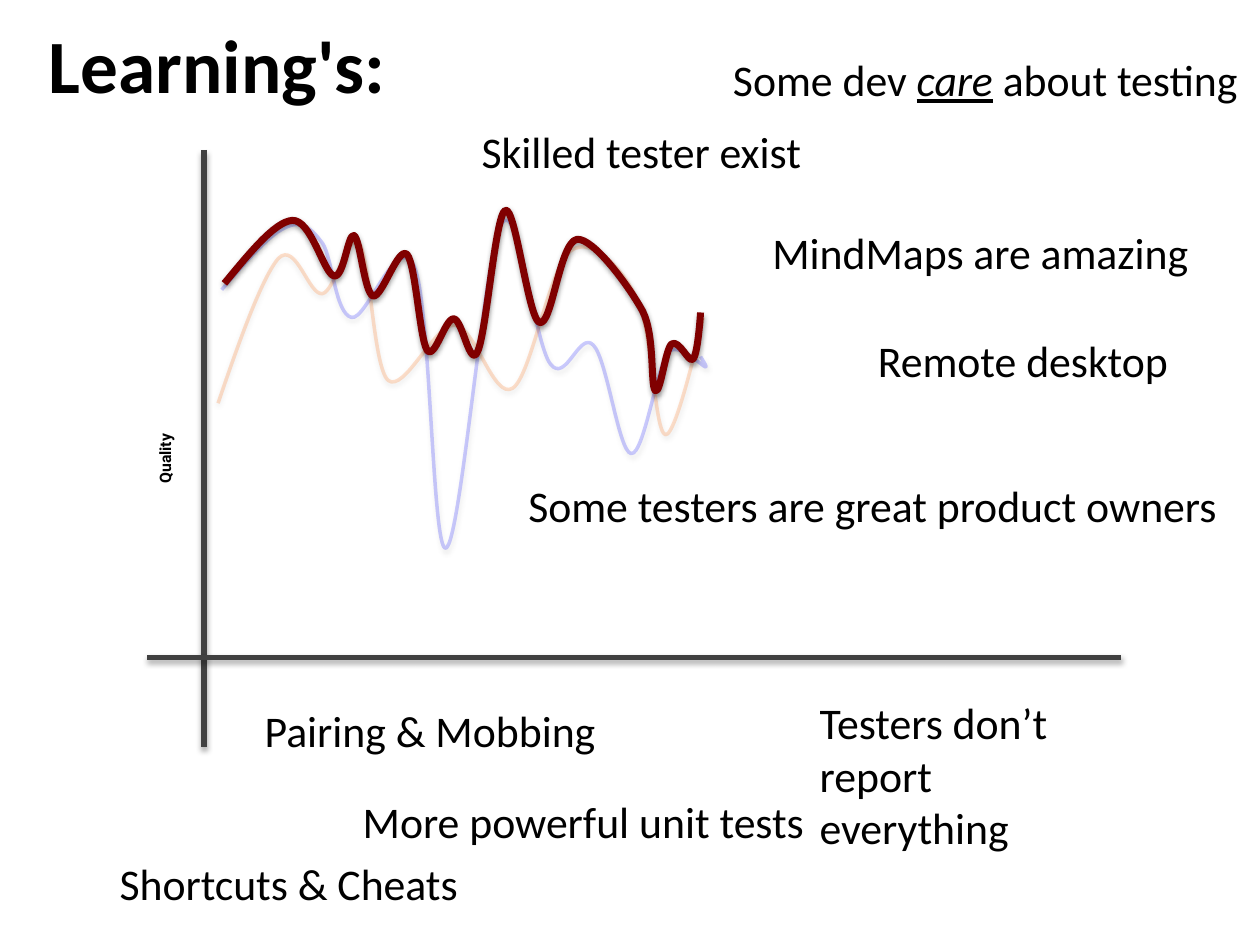
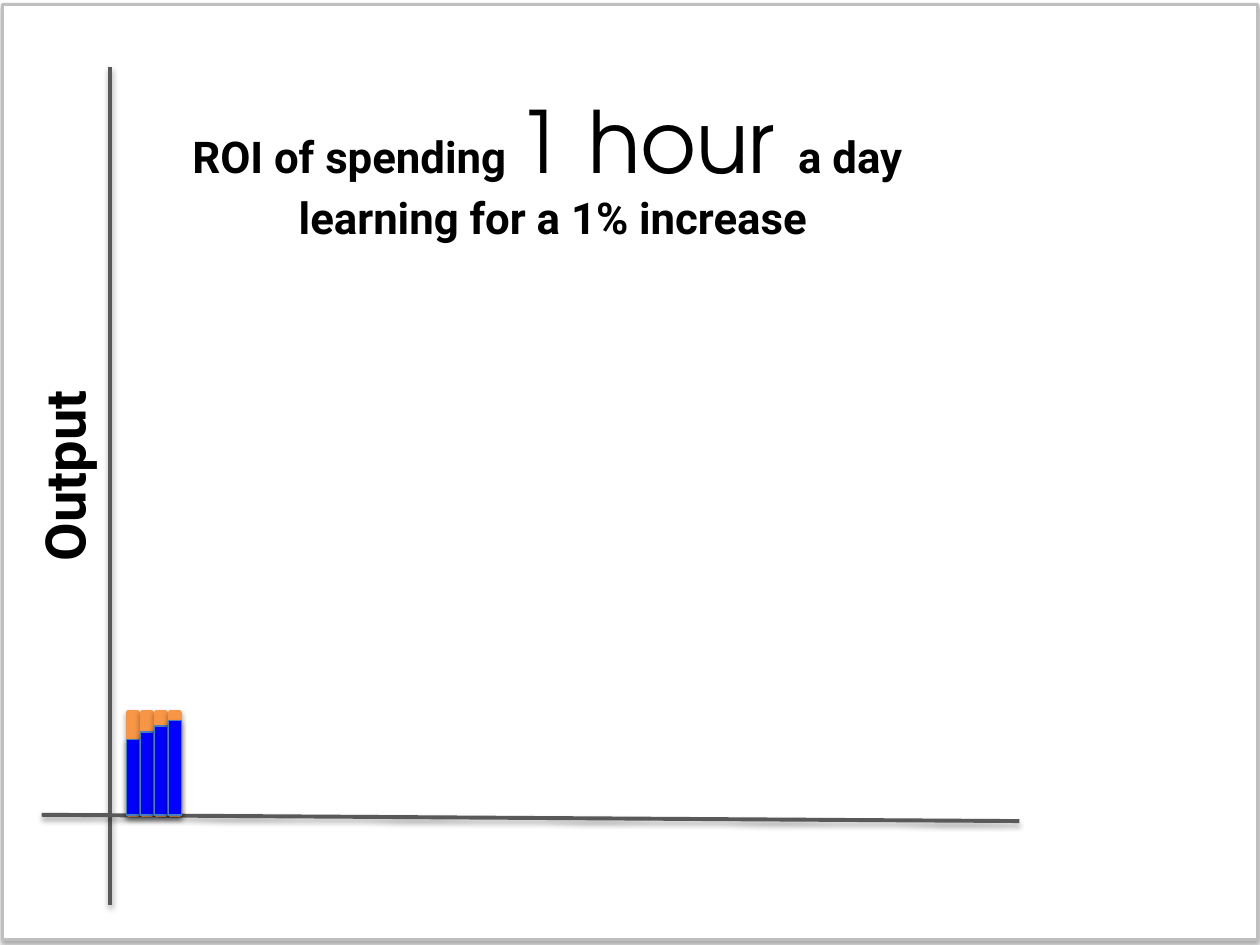
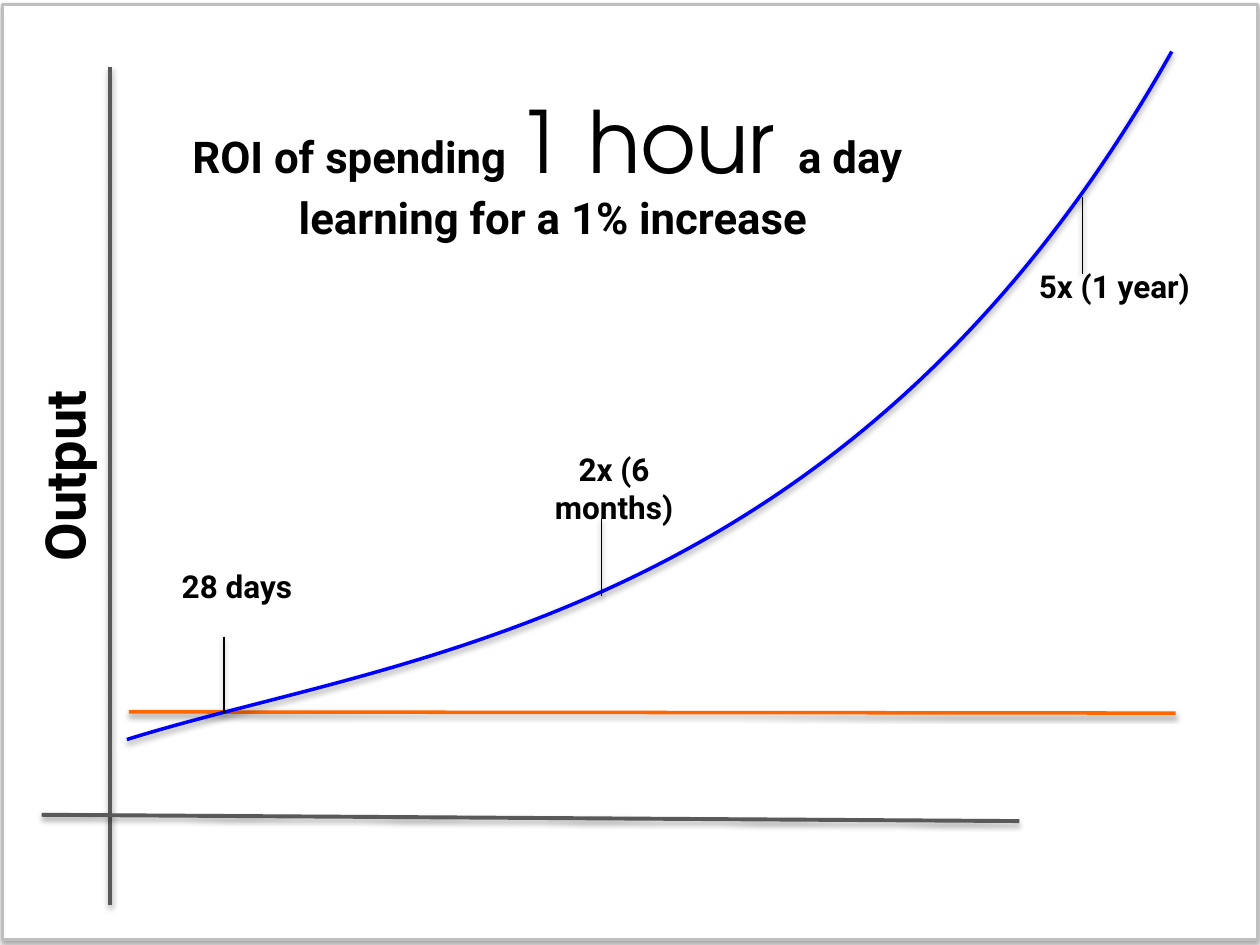
from lxml.etree import SubElement
from pptx import Presentation
from pptx.dml.color import RGBColor
from pptx.enum.shapes import MSO_CONNECTOR as Link, MSO_SHAPE as Preset
from pptx.enum.text import MSO_AUTO_SIZE as AutoSize, PP_ALIGN as Align
from pptx.oxml.ns import qn
from pptx.util import Pt

BLACK = RGBColor(0x00, 0x00, 0x00)
WHITE = RGBColor(0xFF, 0xFF, 0xFF)
DARK_GREY = RGBColor(0x40, 0x40, 0x40)
GREY = RGBColor(0x59, 0x59, 0x59)
FRAME_GREY = RGBColor(0xBF, 0xBF, 0xBF)
BLUE = RGBColor(0x00, 0x00, 0xFF)
STEEL = RGBColor(0x4B, 0x7E, 0xBC)
ORANGE = RGBColor(0xFF, 0x66, 0x00)
SOFT_ORANGE = RGBColor(0xF7, 0x96, 0x46)
MAROON = RGBColor(0x80, 0x00, 0x00)

BODY, HEAD, DISPLAY = "Calibri", "Roboto", "TeX Gyre Adventor"
TIGHT, ROOMY = (7.2, 3.6), (22.3, 10.8)  # left/right and top/bottom insets
# Shadows: opacity in percent, distance in points
SOFT, STRONG = (35, 1.8), (38, 1.6)
SHADOW_BLUR = 3.1

# Learnings: text, box, wrap
LEARNINGS = [
    ("Pairing & Mobbing", (144.2, 398.5, 205.9, 37.4), False),
    ("Remote desktop", (494.6, 187.2, 182.9, 37.4), False),
    ("More powerful unit tests", (200.2, 450.7, 270.7, 37.4), False),
    ("Some testers are great product owners", (294.8, 270, 415.4, 37.4), False),
    ("MindMaps are amazing", (434.2, 125.3, 255.6, 37.4), False),
    ("Skilled tester exist", (268.1, 67.7, 200.9, 37.4), False),
    ("Testers don’t report everything", (461.3, 394.1, 185.8, 97.9), True),
    ("Shortcuts & Cheats", (61.2, 486, 210.2, 37.4), False),
]

# Quality curves: a start point, then two handles and an end point per segment
BLUE_CURVE = [
    (126.7, 165.6),
    (139.7, 150.5), (153.4, 134.6), (162.7, 130.3),
    (172.1, 125.3), (177.8, 130.3), (184.3, 139),
    (190.1, 147.6), (191.5, 179.3), (200.9, 181.4),
    (209.5, 183.6), (227.5, 130.3), (236.9, 152.6),
    (246.2, 174.2), (247, 316.8), (254.9, 313.2),
    (263.5, 308.9), (276.5, 145.4), (286.6, 128.2),
    (295.9, 110.2), (305.3, 196.6), (314.6, 208.1),
    (323.3, 219.6), (331.2, 188.6), (339.1, 197.3),
    (347, 205.2), (353.5, 258.5), (360.7, 259.2),
    (367.9, 259.9), (375.1, 211), (381.6, 201.6),
    (388.8, 192.2), (411.8, 221.8), (400.3, 203.8),
]
ORANGE_CURVE = [
    (124.6, 230.4),
    (136.8, 194.4), (149.8, 158.4), (159.1, 147.6),
    (169.2, 137.5), (176.4, 169.2), (184.3, 167.8),
    (191.5, 166.3), (199.4, 131), (205.2, 139),
    (211.7, 146.9), (213.1, 209.5), (221.8, 217.4),
    (231.1, 224.6), (248.4, 185), (259.9, 185.8),
    (271.4, 186.5), (282.2, 229), (293, 221.8),
    (303.8, 214.6), (313.9, 151.9), (326.2, 143.3),
    (337.7, 134.6), (355, 152.6), (363.6, 169.9),
    (373, 187.9), (373.7, 246.2), (380.2, 248.4),
    (386.6, 249.8), (401.8, 181.4), (401.8, 181.4),
]
BEST_CURVE = [
    (128.2, 162),
    (142.6, 144.7), (157, 126.7), (167, 126),
    (177.8, 125.3), (185, 156.2), (190.8, 157.7),
    (196.6, 159.1), (198.7, 133.2), (202.3, 134.6),
    (205.9, 136.8), (208.1, 167), (213.1, 169.2),
    (218.2, 170.6), (227.5, 140.4), (232.6, 145.4),
    (237.6, 151.2), (239.8, 193.7), (244.1, 200.2),
    (248.4, 205.9), (254.2, 182.2), (259.2, 182.2),
    (264.2, 182.2), (268.6, 211), (272.9, 200.9),
    (277.9, 190.8), (283, 123.1), (288.7, 120.2),
    (294.5, 117.4), (301.7, 181.4), (308.2, 184.3),
    (315.4, 187.2), (319.7, 138.2), (329.8, 136.8),
    (339.1, 136.1), (359.3, 163.4), (367.2, 177.8),
    (374.4, 192.2), (371.5, 219.6), (374.4, 223.2),
    (377.3, 226.1), (380.2, 199.4), (383.8, 196.6),
    (388.1, 193.7), (393.8, 208.1), (396, 205.2),
    (398.9, 202.3), (400.3, 178.6), (400.3, 178.6),
]
OUTPUT_CURVE = [(72.5, 422.6), (226.1, 374.4), (485.3, 357.1), (669.6, 29.5)]

# Return on investment
ROI_TITLE = [
    [("ROI of spending ", HEAD, 25, "b"), ("1 hour ", DISPLAY, 49, ""),
     ("a day ", HEAD, 25, "b")],
    [("learning for a 1% increase", HEAD, 25, "b")],
]
OUTPUT_HEIGHTS = [43.2, 47.5, 50.9, 54]
BAR_LEFT, BAR_PITCH, BAR_WIDTH, BAR_BASE = 72.4, 8, 7.2, 465.8
TARGET_WIDTH, TARGET_HEIGHT = 5.8, 59

# Milestones: label, box, marker x and top
MILESTONES = [
    ("28 days", (63.4, 313.2, 144, 43.9), 128, 363.8),
    ("2x (6 months)", (278.9, 246.2, 144, 66.2), 343.7, 296.6),
    ("5x (1 year)", (564.8, 141.8, 144, 43.9), 618.5, 112.5),
]
MARKER_LENGTH = 43.9


def add_shadow(shape, style):
    opacity, distance = style
    effects = SubElement(shape._element.spPr, qn("a:effectLst"))
    outer = SubElement(effects, qn("a:outerShdw"), blurRad=str(Pt(SHADOW_BLUR)),
                       dist=str(Pt(distance)), dir="5400000", rotWithShape="0")
    color = SubElement(outer, qn("a:srgbClr"), val=str(BLACK))
    SubElement(color, qn("a:alpha"), val=str(opacity * 1000))


def set_line(shape, color, width):
    shape.line.color.rgb = color
    shape.line.width = Pt(width)


def add_line(page, start, end, color, width, shadow):
    line = page.shapes.add_connector(
        Link.STRAIGHT, *(Pt(value) for value in (*start, *end)))
    set_line(line, color, width)
    add_shadow(line, shadow)


def add_block(page, preset, bounds, fill, edge, width, shadow):
    block = page.shapes.add_shape(preset, *(Pt(value) for value in bounds))
    block.fill.solid()
    block.fill.fore_color.rgb = fill
    set_line(block, edge, width)
    add_shadow(block, shadow)
    return block


def add_curve(page, knots, color, width, opacity=100):
    points = [(Pt(x), Pt(y)) for x, y in knots]
    builder = page.shapes.build_freeform(*points[0])
    builder.add_line_segments(points[3::3], close=False)
    curve = builder.convert_to_shape()
    # Bend each straight segment with its two handles
    segments = list(curve._element.spPr.iter(qn("a:lnTo")))
    for index, segment in enumerate(segments):
        bend = segment.makeelement(qn("a:cubicBezTo"))
        for x, y in points[3 * index + 1:3 * index + 4]:
            SubElement(bend, qn("a:pt"), x=str(x - curve.left), y=str(y - curve.top))
        segment.getparent().replace(segment, bend)
    curve.fill.background()
    set_line(curve, color, width)
    if opacity < 100:
        tint = curve._element.spPr.find(qn("a:ln")).find(".//" + qn("a:srgbClr"))
        SubElement(tint, qn("a:alpha"), val=str(opacity * 1000))
    add_shadow(curve, STRONG)


def add_text(page, bounds, lines, insets=TIGHT, align=Align.LEFT, wrap=True, turn=0):
    """Each line is a list of (text, font, size, style letters)."""
    box = page.shapes.add_textbox(*(Pt(value) for value in bounds))
    box.rotation = turn
    frame = box.text_frame
    frame.word_wrap = wrap
    frame.auto_size = AutoSize.SHAPE_TO_FIT_TEXT
    frame.margin_left = frame.margin_right = Pt(insets[0])
    frame.margin_top = frame.margin_bottom = Pt(insets[1])
    for index, spans in enumerate(lines):
        para = frame.add_paragraph() if index else frame.paragraphs[0]
        para.alignment = align
        for text, font, size, style in spans:
            span = para.add_run()
            span.text = text
            span.font.name = font
            span.font.size = Pt(size)
            span.font.color.rgb = BLACK
            span.font.bold = "b" in style
            span.font.italic = "i" in style
            span.font.underline = "u" in style


def add_page(deck):
    return deck.slides.add_slide(deck.slide_layouts[6])


def add_roi_page(deck):
    """Frame, title and axes shared by the output slides."""
    page = add_page(deck)
    frame = add_block(page, Preset.ROUNDED_RECTANGLE, (1.5, 2.5, 717.1, 534.2),
                      WHITE, FRAME_GREY, 1.5, SOFT)
    frame.adjustments[0] = 0
    add_text(page, (67.1, 39.2, 497.5, 112.3), ROI_TITLE, ROOMY, Align.CENTER)
    add_text(page, (-282.6, 241.2, 638.6, 61.2), [[("Output", HEAD, 32, "b")]],
             ROOMY, Align.CENTER, turn=270)
    add_line(page, (62.9, 38.2), (62.9, 517), GREY, 2.25, SOFT)
    add_line(page, (23.8, 465.6), (582.5, 469.2), GREY, 2.25, SOFT)
    return page


def add_learnings_page(deck):
    page = add_page(deck)
    # Axes and curves
    add_text(page, (-147.3, 253.2, 483.1, 18), [[("Quality", HEAD, 9, "b")]],
             align=Align.CENTER, turn=270)
    add_line(page, (116.6, 85.7), (116.6, 427), DARK_GREY, 3, SOFT)
    add_line(page, (84.2, 375.6), (640.8, 375.6), DARK_GREY, 3, SOFT)
    add_curve(page, BLUE_CURVE, BLUE, 2, opacity=20)
    add_curve(page, ORANGE_CURVE, ORANGE, 2, opacity=20)
    add_curve(page, BEST_CURVE, MAROON, 4)
    # Title and learnings
    add_text(page, (20.9, 6.8, 208.8, 59), [[("Learning's:", BODY, 43, "b")]], wrap=False)
    add_text(page, (411.8, 26.6, 306.7, 37.4),
             [[("Some dev ", BODY, 25, ""), ("care", BODY, 25, "iu"),
               (" about testing", BODY, 25, "")]], wrap=False)
    for text, bounds, wrap in LEARNINGS:
        add_text(page, bounds, [[(text, BODY, 25, "")]], wrap=wrap)


def add_bars_page(deck):
    page = add_roi_page(deck)
    for index, height in enumerate(OUTPUT_HEIGHTS):
        left = BAR_LEFT + index * BAR_PITCH
        inset = (BAR_WIDTH - TARGET_WIDTH) / 2
        add_block(page, Preset.RECTANGLE,
                  (left + inset, BAR_BASE - TARGET_HEIGHT, TARGET_WIDTH, TARGET_HEIGHT),
                  SOFT_ORANGE, SOFT_ORANGE, 2, STRONG)
        add_block(page, Preset.RECTANGLE, (left, BAR_BASE - height, BAR_WIDTH, height),
                  BLUE, STEEL, 0.75, SOFT)


def add_growth_page(deck):
    page = add_roi_page(deck)
    add_line(page, (73.7, 406.8), (671.8, 407.5), ORANGE, 2, STRONG)
    add_curve(page, OUTPUT_CURVE, BLUE, 2)
    for label, bounds, x, top in MILESTONES:
        add_text(page, bounds, [[(label, HEAD, 18, "b")]], ROOMY, Align.CENTER)
        add_line(page, (x, top), (x, top + MARKER_LENGTH), BLACK, 0.75, STRONG)


def main():
    deck = Presentation()
    deck.slide_width, deck.slide_height = Pt(720), Pt(540)
    add_learnings_page(deck)
    add_bars_page(deck)
    add_growth_page(deck)
    deck.save("out.pptx")


if __name__ == "__main__":
    main()
